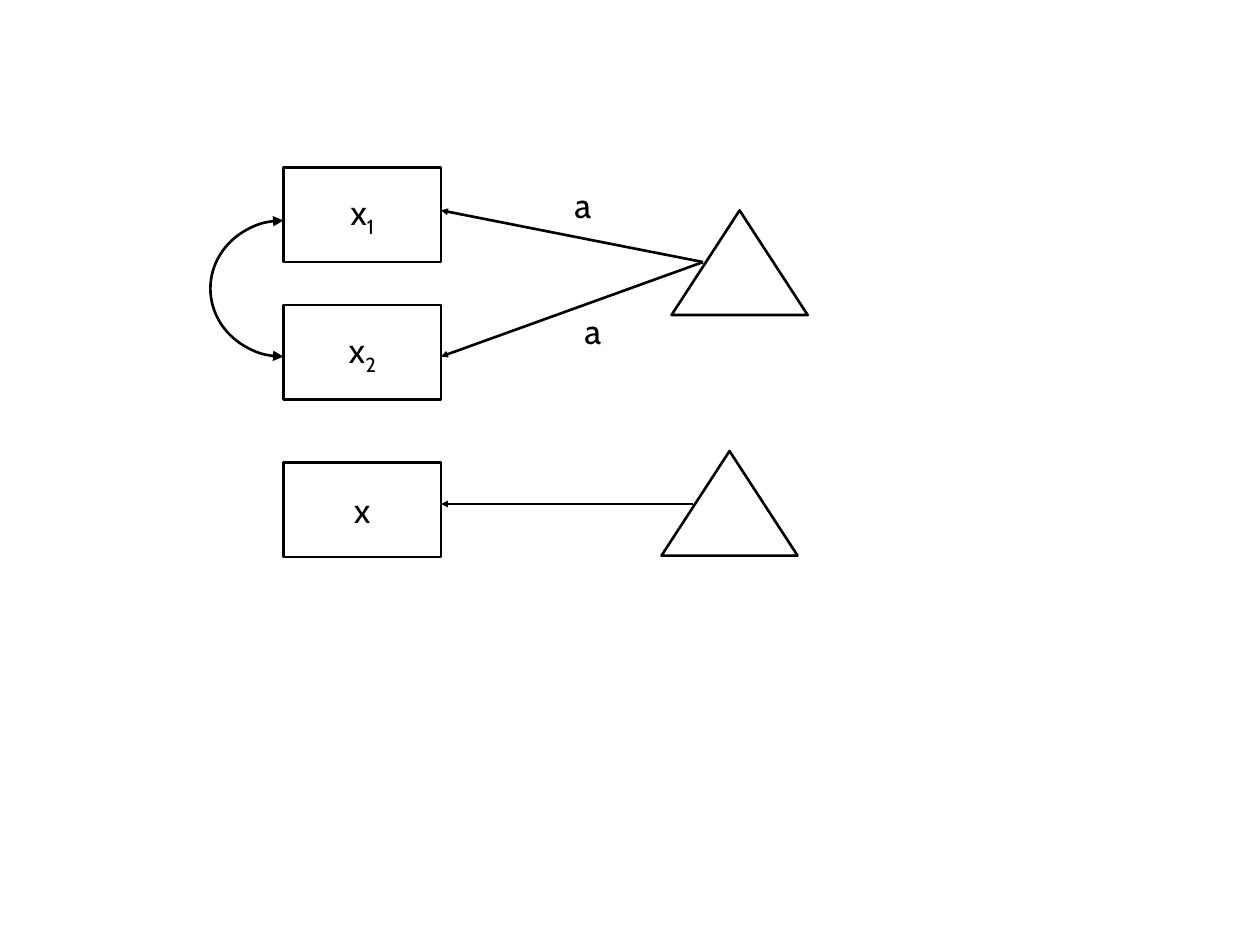
"""Path diagram: two correlated variables and one single variable, each with a constant."""
from dataclasses import dataclass

from lxml import etree
from pptx import Presentation
from pptx.dml.color import RGBColor
from pptx.enum.shapes import MSO_CONNECTOR, MSO_SHAPE
from pptx.enum.text import MSO_ANCHOR, PP_ALIGN
from pptx.oxml.ns import qn
from pptx.util import Inches, Pt

RECTANGLE = MSO_SHAPE.RECTANGLE
TRIANGLE = MSO_SHAPE.ISOSCELES_TRIANGLE
ARC = MSO_SHAPE.ARC
STRAIGHT = MSO_CONNECTOR.STRAIGHT
MIDDLE = MSO_ANCHOR.MIDDLE
CENTER = PP_ALIGN.CENTER


@dataclass(frozen=True)
class Theme:
    ink: RGBColor = RGBColor(0, 0, 0)
    font: str = "Cabin"
    text_size: Pt = Pt(20)
    line_width: Pt = Pt(1.5)


theme = Theme()


def style_outline(shape, heads=(), head_size="med"):
    shape.line.color.rgb = theme.ink
    shape.line.width = theme.line_width
    line = shape.line._get_or_add_ln()
    for head in heads:
        etree.SubElement(line, qn(f"a:{head}"), type="triangle", w=head_size, len=head_size)


def write_label(shape, text, subscript=""):
    frame = shape.text_frame
    frame.word_wrap = False
    frame.vertical_anchor = MIDDLE
    paragraph = frame.paragraphs[0]
    paragraph.alignment = CENTER
    paragraph.font.name = theme.font
    paragraph.font.size = theme.text_size
    paragraph.font.color.rgb = theme.ink
    paragraph.add_run().text = text
    if subscript:
        run = paragraph.add_run()
        run.text = subscript
        run.font._element.set("baseline", "-25000")


presentation = Presentation()
presentation.slide_width = Inches(10)
presentation.slide_height = Inches(7.5)
slide = presentation.slides.add_slide(presentation.slide_layouts[6])
shapes = slide.shapes

box_width, box_height = Inches(1.25), Inches(0.75)

for top, subscript in ((1.33, "1"), (2.42, "2"), (3.67, "")):
    variable = shapes.add_shape(RECTANGLE, Inches(2.25), Inches(top), box_width, box_height)
    variable.shadow.inherit = False
    variable.fill.background()
    style_outline(variable)
    write_label(variable, "x", subscript)

for left, top in ((5.33, 1.67), (5.25, 3.58)):
    constant = shapes.add_shape(TRIANGLE, Inches(left), Inches(top), Inches(1.08), Inches(0.83))
    constant.shadow.inherit = False
    constant.fill.background()
    style_outline(constant)

for start_x, start_y, end_y in ((5.58, 2.08, 1.67), (5.58, 2.08, 2.83), (5.5, 4, 4)):
    path_arrow = shapes.add_connector(
        STRAIGHT, Inches(start_x), Inches(start_y), Inches(3.5), Inches(end_y))
    style_outline(path_arrow, ["tailEnd"], "sm")
    etree.SubElement(path_arrow._element.spPr, qn("a:effectLst"))

for left, top in ((4, 1.25), (4.08, 2.25)):
    coefficient = shapes.add_textbox(Inches(left), Inches(top), box_width, box_height)
    write_label(coefficient, "a")

covariance = shapes.add_shape(ARC, Inches(1.67), Inches(1.75), Inches(1.16), Inches(1.08))
covariance.adjustments[0] = 54
covariance.adjustments[1] = 162
covariance.shadow.inherit = False
covariance.fill.background()
style_outline(covariance, ["headEnd", "tailEnd"])

presentation.save("out.pptx")
